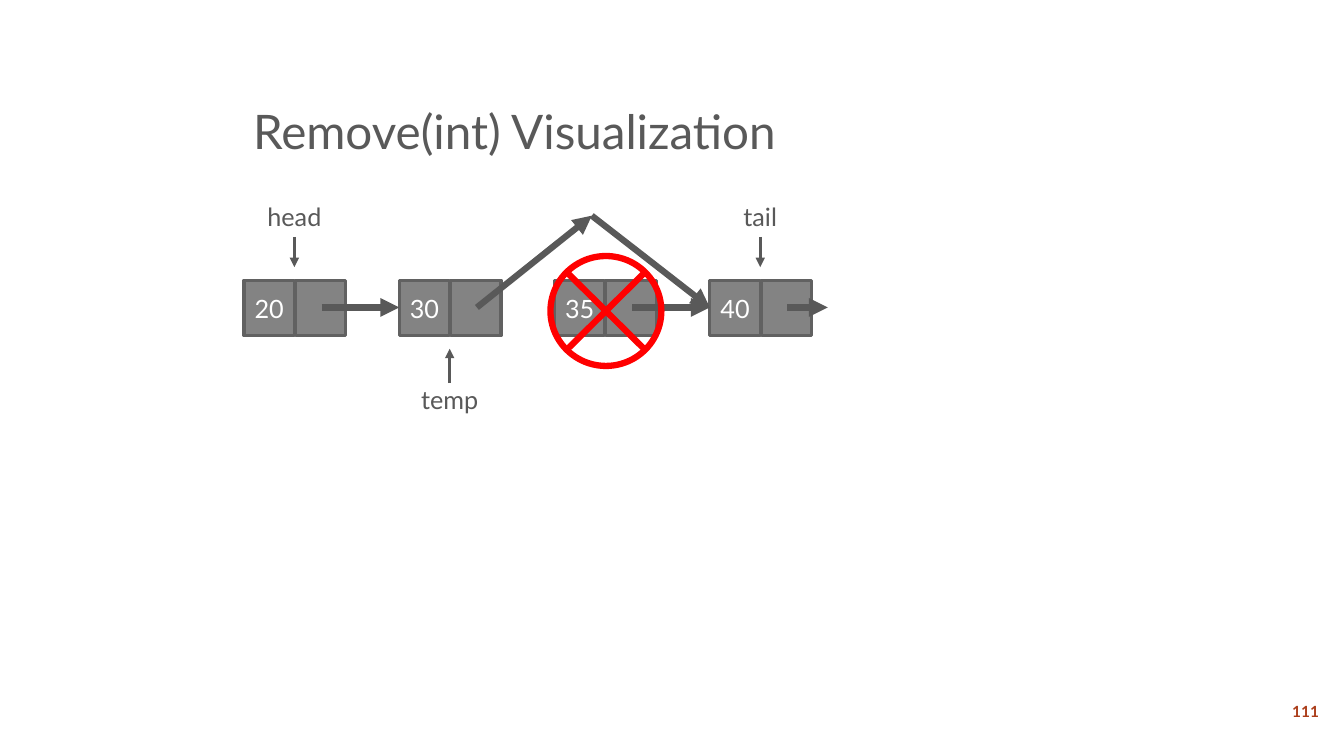
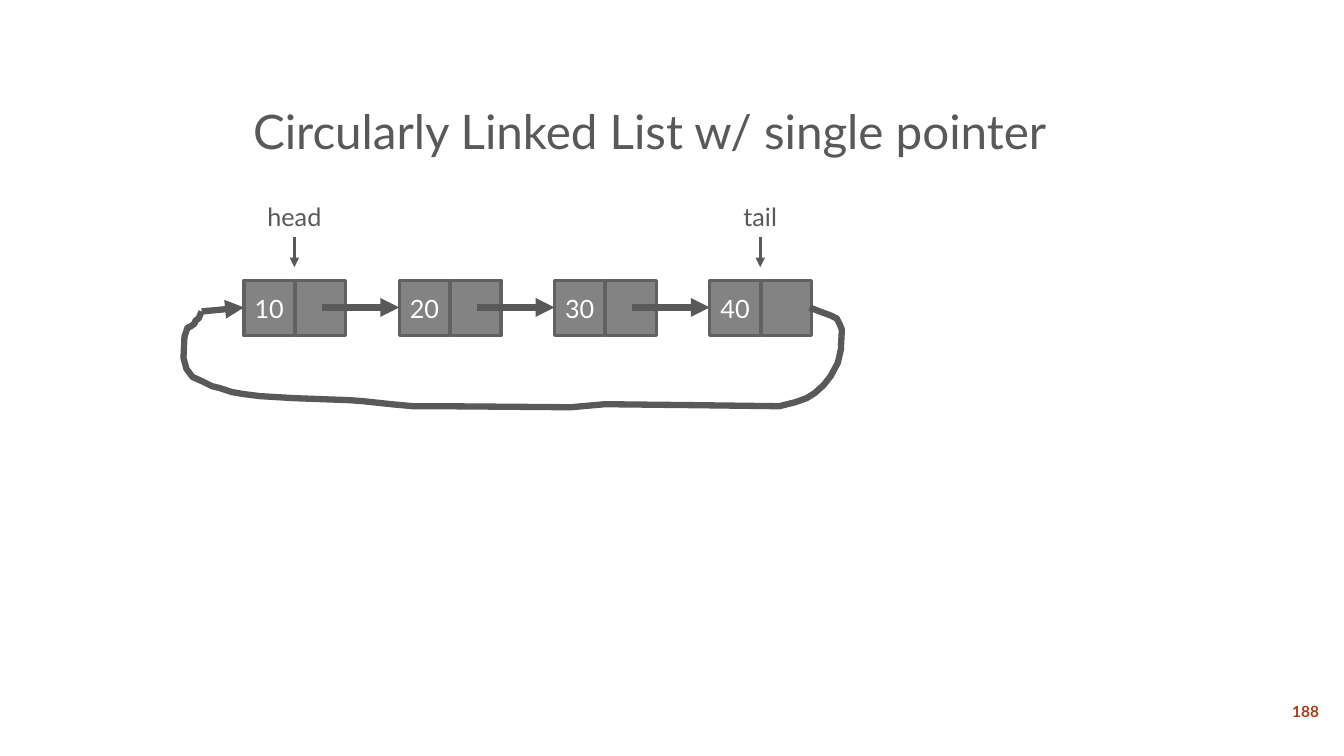
"""Build two slides that picture linked list operations."""
from lxml import etree
from pptx import Presentation
from pptx.dml.color import RGBColor
from pptx.enum.shapes import MSO_CONNECTOR, MSO_SHAPE
from pptx.enum.text import MSO_ANCHOR, MSO_AUTO_SIZE, PP_ALIGN
from pptx.oxml.ns import qn
from pptx.util import Inches, Pt

STRAIGHT = MSO_CONNECTOR.STRAIGHT
RECTANGLE = MSO_SHAPE.RECTANGLE
CROSSED_CIRCLE = MSO_SHAPE.FLOWCHART_SUMMING_JUNCTION
LEFT, CENTER = PP_ALIGN.LEFT, PP_ALIGN.CENTER
TOP, MIDDLE, BOTTOM = MSO_ANCHOR.TOP, MSO_ANCHOR.MIDDLE, MSO_ANCHOR.BOTTOM
NO_FIT = MSO_AUTO_SIZE.NONE

INK = RGBColor(0x59, 0x59, 0x59)
THEME = {
    "cell": RGBColor(0x83, 0x83, 0x83),
    "border": RGBColor(0x61, 0x61, 0x61),
    "removed": RGBColor(0xFF, 0x00, 0x00),
    "thin": Pt(2.25),
    "thick": Pt(4.5),
    "title": {
        "color": INK, "align": LEFT, "spacing": 0.9,
        "frame": {"vertical_anchor": BOTTOM, "word_wrap": True, "auto_size": NO_FIT},
        "font": {"name": "Lato", "size": Pt(34)},
    },
    "number": {
        "color": RGBColor(0xAB, 0x3C, 0x19), "align": CENTER, "spacing": 1.0,
        "frame": {"vertical_anchor": MIDDLE, "word_wrap": True},
        "font": {"name": "Lato", "size": Pt(11), "bold": True},
    },
    "label": {
        "color": INK, "align": CENTER, "spacing": 1.0,
        "frame": {"vertical_anchor": TOP, "word_wrap": False},
        "font": {"name": "Lato", "size": Pt(18)},
    },
    "value": {
        "color": RGBColor(0xFF, 0xFF, 0xFF), "align": CENTER, "spacing": 1.0,
        "frame": {"vertical_anchor": MIDDLE, "word_wrap": True},
        "font": {"name": "Lato", "size": Pt(18)},
    },
}

NODE_X = [2.42 + 1.54 * i for i in range(4)]
NODE_TOP, CELL_W, CELL_H, CELL_STEP = 2.78, 0.5, 0.55, 0.51
LINK_X, LINK_Y = 0.77, 3.05
LABEL_W, LABEL_H = 0.78, 0.4
ABOVE = {"label": 1.95, "start": 2.35, "end": 2.65}
BELOW = {"label": 3.76, "start": 3.8, "end": 3.46}
PEAK = (5.87, 2.14)
LOOP_END = (2.0, 3.09)

links = [((x + LINK_X, LINK_Y), (following, LINK_Y))
         for x, following in zip(NODE_X, NODE_X[1:])]
ends = [("head", 0, ABOVE), ("tail", 3, ABOVE)]

slides = [
    {
        "title": "Remove(int) Visualization",
        "number": "111",
        "values": ["20", "30", "35", "40"],
        "pointers": ends + [("temp", 1, BELOW)],
        "arrows": [
            links[0],
            (links[1][0], PEAK),
            (PEAK, links[2][1]),
            links[2],
            ((NODE_X[3] + LINK_X, LINK_Y), (8.21, LINK_Y)),
        ],
        "removed": (5.46, 2.54, 1.1, 1.09),
        "loop": [],
    },
    {
        "title": "Circularly Linked List w/ single pointer",
        "number": "188",
        "values": ["10", "20", "30", "40"],
        "pointers": ends,
        "arrows": links + [(LOOP_END, (NODE_X[0], LINK_Y))],
        "removed": None,
        "loop": [
            (8.03, 3.05), (8.13, 3.09), (8.24, 3.13), (8.3, 3.16), (8.33, 3.22),
            (8.35, 3.27), (8.34, 3.47), (8.31, 3.6), (8.24, 3.73), (8.17, 3.82),
            (8.08, 3.9), (8, 3.95), (7.89, 3.99), (7.73, 4.03), (6.94, 4.02),
            (6, 4.01), (5.66, 4.04), (4.37, 4.03), (4.1, 4.03), (3.88, 4.01),
            (3.6, 3.98), (3.47, 3.97), (2.92, 3.95), (2.58, 3.93), (2.42, 3.91),
            (2.3, 3.89), (2.18, 3.85), (2.1, 3.83), (2, 3.78), (1.91, 3.74),
            (1.85, 3.66), (1.82, 3.55), (1.83, 3.34), (1.86, 3.25), (1.89, 3.24),
            (1.93, 3.21), (1.94, 3.18), (1.97, 3.16), LOOP_END,
        ],
    },
]


def write_text(sp, text, style):
    tf = sp.text_frame
    for name, value in style["frame"].items():
        setattr(tf, name, value)
    p = tf.paragraphs[0]
    p.alignment = style["align"]
    p.line_spacing = style["spacing"]
    r = p.add_run()
    r.text = text
    for name, value in style["font"].items():
        setattr(r.font, name, value)
    r.font.color.rgb = style["color"]


def add_arrow(s, start, end, width):
    line = s.shapes.add_connector(STRAIGHT, *[Inches(v) for v in (*start, *end)])
    line.line.color.rgb = INK
    line.line.width = width
    ln = line.line._get_or_add_ln()
    etree.SubElement(ln, qn("a:tailEnd"), type="triangle")
    etree.SubElement(line._element.spPr, qn("a:effectLst"))


prs = Presentation()
prs.slide_width, prs.slide_height = Inches(13.33), Inches(7.5)
title_only = prs.slide_layouts[5]

for content in slides:
    s = prs.slides.add_slide(title_only)
    title = s.shapes.title
    title.left, title.top, title.width, title.height = [
        Inches(v) for v in (2.41, 0.33, 10.25, 1.31)]
    write_text(title, content["title"], THEME["title"])

    number = s.shapes.add_textbox(*[Inches(v) for v in (12.66, 6.87, 0.58, 0.38)])
    write_text(number, content["number"], THEME["number"])

    for x, value in zip(NODE_X, content["values"]):
        for left, text in ((x, value), (x + CELL_STEP, None)):
            cell = s.shapes.add_shape(
                RECTANGLE, *[Inches(v) for v in (left, NODE_TOP, CELL_W, CELL_H)])
            cell.shadow.inherit = False
            cell.fill.solid()
            cell.fill.fore_color.rgb = THEME["cell"]
            cell.line.color.rgb = THEME["border"]
            cell.line.width = THEME["thin"]
            if text:
                write_text(cell, text, THEME["value"])

    for text, node, side in content["pointers"]:
        x = NODE_X[node] + CELL_W
        label = s.shapes.add_textbox(
            *[Inches(v) for v in (x - LABEL_W / 2, side["label"], LABEL_W, LABEL_H)])
        write_text(label, text, THEME["label"])
        add_arrow(s, (x, side["start"]), (x, side["end"]), THEME["thin"])

    for start, end in content["arrows"]:
        add_arrow(s, start, end, THEME["thick"])

    outlines = []
    if content["removed"]:
        cross = s.shapes.add_shape(
            CROSSED_CIRCLE, *[Inches(v) for v in content["removed"]])
        outlines.append((cross, THEME["removed"]))
    if content["loop"]:
        points = [(Inches(x), Inches(y)) for x, y in content["loop"]]
        builder = s.shapes.build_freeform(*points[0])
        builder.add_line_segments(points[1:], close=False)
        outlines.append((builder.convert_to_shape(), INK))
    for sp, color in outlines:
        sp.shadow.inherit = False
        sp.fill.background()
        sp.line.color.rgb = color
        sp.line.width = THEME["thick"]

prs.save("out.pptx")
